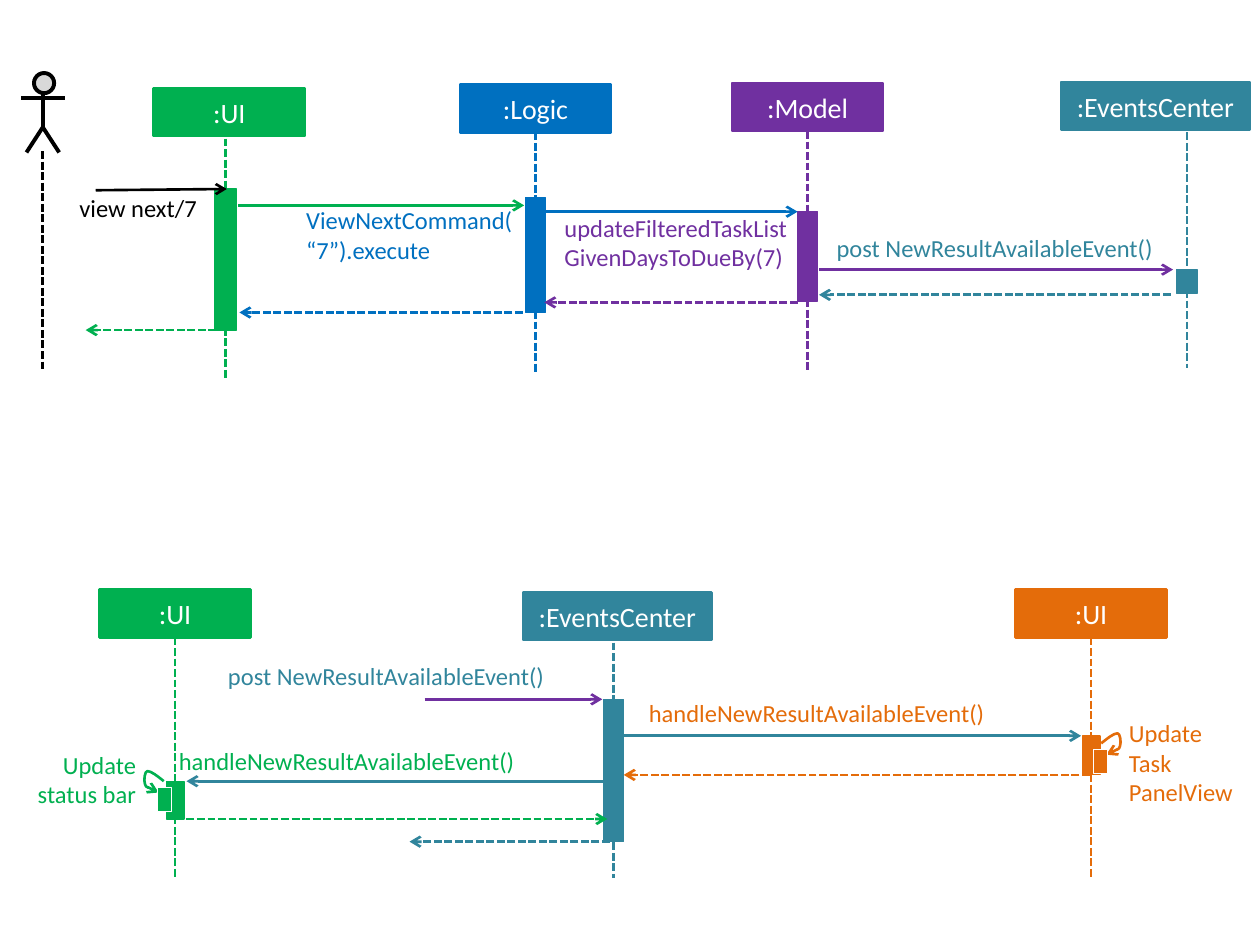
from lxml import etree
from pptx import Presentation
from pptx.dml.color import RGBColor
from pptx.enum.dml import MSO_LINE
from pptx.enum.shapes import MSO_CONNECTOR, MSO_SHAPE
from pptx.enum.text import MSO_ANCHOR, PP_ALIGN
from pptx.oxml.ns import qn
from pptx.util import Inches, Pt

GREEN = RGBColor(0x00, 0xB0, 0x50)
BLUE = RGBColor(0x00, 0x70, 0xC0)
PURPLE = RGBColor(0x70, 0x30, 0xA0)
TEAL = RGBColor(0x31, 0x85, 0x9C)
ORANGE = RGBColor(0xE4, 0x6C, 0x0A)
BLACK = RGBColor(0x00, 0x00, 0x00)
WHITE = RGBColor(0xFF, 0xFF, 0xFF)
GREY = RGBColor(0xD9, 0xD9, 0xD9)

RECT, CIRCLE = MSO_SHAPE.RECTANGLE, MSO_SHAPE.FLOWCHART_CONNECTOR
STRAIGHT, DASHED = MSO_CONNECTOR.STRAIGHT, MSO_LINE.SQUARE_DOT
LEFT, CENTER, RIGHT = PP_ALIGN.LEFT, PP_ALIGN.CENTER, PP_ALIGN.RIGHT
MIDDLE = MSO_ANCHOR.MIDDLE
FONT = "Calibri"
HEADER_H = 0.38


def set_font(p, size, color, align):
    """Format one paragraph."""
    p.alignment = align
    p.font.name, p.font.size, p.font.color.rgb = FONT, Pt(size), color


def add_box(shapes, box, fill, line, width, kind=RECT):
    """Add a filled shape without a shadow."""
    s = shapes.add_shape(kind, *map(Inches, box))
    s.shadow.inherit = False
    s.fill.solid()
    s.fill.fore_color.rgb = fill
    s.line.color.rgb, s.line.width = line, Pt(width)
    return s


def add_arrowhead(s, end):
    """Put an open arrowhead on headEnd or tailEnd of a line."""
    etree.SubElement(s.line._get_or_add_ln(), qn("a:" + end), type="arrow")


def add_line(shapes, start, end, color, dashed=False, arrow=False, width=1.5):
    """Add a straight line, with an arrowhead at its end if asked."""
    c = shapes.add_connector(STRAIGHT, *map(Inches, (*start, *end)))
    c.line.color.rgb, c.line.width = color, Pt(width)
    if dashed:
        c.line.dash_style = DASHED
    if arrow:
        add_arrowhead(c, "tailEnd")
    etree.SubElement(c._element.spPr, qn("a:effectLst"))
    return c


def add_label(shapes, box, lines, color, align=LEFT):
    """Add a message label with one paragraph per line."""
    tf = shapes.add_textbox(*map(Inches, box)).text_frame
    tf.word_wrap = True
    tf.margin_left = tf.margin_right = tf.margin_top = tf.margin_bottom = 0
    tf.text = "\n".join(lines)
    for p in tf.paragraphs:
        set_font(p, 14, color, align)


def add_actor(shapes, left, top, bottom):
    """Draw the stick figure and its lifeline."""
    x = left + 0.17
    group = shapes.add_group_shape().shapes
    add_line(group, (x, top + 0.16), (x, top + 0.44), BLACK, width=2.25)
    add_line(group, (left, top + 0.2), (left + 0.35, top + 0.2), BLACK, width=2.25)
    for foot in (-0.13, 0.13):
        add_line(group, (x, top + 0.43), (x + foot, top + 0.63), BLACK, width=2.25)
    add_box(group, (left + 0.1, top, 0.16, 0.16), GREY, BLACK, 2.25, CIRCLE)
    add_line(shapes, (x, top + 0.62), (x, bottom), BLACK, dashed=True)


def add_participant(shapes, label, color, header, life, bar):
    """Draw a header, its dashed lifeline and the activation bar."""
    left, top, width = header
    s = add_box(shapes, (left, top, width, HEADER_H), color, color, 1.5)
    tf = s.text_frame
    tf.vertical_anchor = MIDDLE
    tf.word_wrap = False
    tf.text = label
    set_font(tf.paragraphs[0], 16, WHITE, CENTER)
    x, bottom = life
    c = add_line(shapes, (x, top + HEADER_H + 0.02), (x, bottom), color, dashed=True)
    if abs(x - left - width / 2) < 0.01:
        c.begin_connect(s, 2)
    bar_top, bar_w, bar_h = bar
    add_box(shapes, (x - bar_w / 2, bar_top, bar_w, bar_h), color, color, 0.75)


def add_self_call(shapes, color, place):
    """Draw a looping arrow and its inner bar, with place mapping the points."""
    points = [(1.26, 6.29), (1.21, 6.27), (1.16, 6.25), (1.15, 6.22), (1.14, 6.19),
              (1.15, 6.12), (1.17, 6.12), (1.2, 6.12), (1.25, 6.16), (1.3, 6.2)]
    start, *rest = [tuple(map(Inches, place(x, y))) for x, y in points]
    builder = shapes.build_freeform(*start)
    builder.add_line_segments(rest, close=False)
    s = builder.convert_to_shape()
    s.shadow.inherit = False
    s.fill.background()
    s.line.color.rgb, s.line.width = color, Pt(1.5)
    add_arrowhead(s, "headEnd")
    segments = list(s._element.iter(qn("a:lnTo")))
    for i in range(0, len(segments), 3):
        curve = etree.SubElement(segments[i].getparent(), qn("a:cubicBezTo"))
        for segment in segments[i:i + 3]:
            curve.append(segment[0])
            segment.getparent().remove(segment)
    x, y = place(1.305, 6.25)
    add_box(shapes, (x - 0.055, y, 0.11, 0.19), color, WHITE, 0.75)


def add_messages(shapes, messages):
    """Draw horizontal arrows given as start x, end x, y, colour and dashing."""
    for x1, x2, y, color, dashed in messages:
        add_line(shapes, (x1, y), (x2, y), color, dashed, arrow=True)


def add_command_sequence(shapes):
    """Draw the upper diagram, from the user to the events center."""
    for participant in (
        (":UI", GREEN, (1.22, 0.7, 1.2), (1.79, 3), (1.5, 0.17, 1.12)),
        (":Logic", BLUE, (3.65, 0.67, 1.2), (4.25, 2.95), (1.57, 0.16, 0.91)),
        (":Model", PURPLE, (5.81, 0.66, 1.2), (6.41, 2.95), (1.68, 0.16, 0.71)),
        (":EventsCenter", TEAL, (8.42, 0.65, 1.5), (9.42, 2.92), (2.14, 0.16, 0.19)),
    ):
        add_participant(shapes, *participant)
    add_actor(shapes, 0.17, 0.58, 2.95)
    add_line(shapes, (0.76, 1.51), (1.8, 1.5), BLACK, arrow=True)
    add_messages(shapes, (
        (1.89, 4.16, 1.63, GREEN, False),
        (4.32, 6.33, 1.68, BLUE, False),
        (6.5, 9.31, 2.14, PURPLE, False),
        (9.29, 6.5, 2.34, TEAL, True),
        (6.33, 4.32, 2.4, PURPLE, True),
        (4.15, 1.9, 2.48, BLUE, True),
        (1.8, 0.68, 2.62, GREEN, True),
    ))
    add_label(shapes, (0.63, 1.53, 0.94, 0.24), ["view next/7"], BLACK)
    add_label(shapes, (2.43, 1.63, 1.66, 0.47), ["ViewNextCommand(“7”).execute"], BLUE)
    add_label(shapes, (4.48, 1.69, 1.78, 0.47),
              ["updateFilteredTaskListGivenDaysToDueBy(7)"], PURPLE)
    add_label(shapes, (6.64, 1.85, 3.27, 0.24), ["post NewResultAvailableEvent()"], TEAL)


def add_event_sequence(shapes):
    """Draw the lower diagram, from the events center to both UI parts."""
    for participant in (
        (":UI", GREEN, (0.79, 4.68, 1.2), (1.39, 6.96), (6.2, 0.14, 0.3)),
        (":EventsCenter", TEAL, (4.15, 4.7, 1.5), (4.87, 6.97), (5.55, 0.16, 1.13)),
        (":UI", ORANGE, (8.06, 4.68, 1.2), (8.66, 6.96), (5.84, 0.14, 0.31)),
    ):
        add_participant(shapes, *participant)
    add_messages(shapes, (
        (3.37, 4.78, 5.55, PURPLE, False),
        (4.95, 8.58, 5.84, TEAL, False),
        (8.65, 4.95, 6.15, ORANGE, True),
        (4.82, 1.48, 6.2, TEAL, False),
        (1.48, 4.82, 6.5, GREEN, True),
        (4.84, 3.25, 6.68, TEAL, True),
    ))
    add_self_call(shapes, GREEN, lambda x, y: (x, y))
    add_self_call(shapes, ORANGE, lambda x, y: (10.04 - x, y - 0.3))
    add_label(shapes, (1.81, 5.25, 3.14, 0.24), ["post NewResultAvailableEvent()"], TEAL)
    handler = ["handleNewResultAvailableEvent()"]
    add_label(shapes, (5.15, 5.54, 3.26, 0.24), handler, ORANGE)
    add_label(shapes, (1.42, 5.92, 3.27, 0.24), handler, GREEN)
    add_label(shapes, (0.21, 5.95, 0.87, 0.47), ["Update status bar"], GREEN, RIGHT)
    add_label(shapes, (8.96, 5.7, 0.96, 0.71), ["Update", "Task", "PanelView"], ORANGE)


def main():
    """Build the slide with both sequence diagrams."""
    prs = Presentation()
    prs.slide_width, prs.slide_height = Inches(10), Inches(7.5)
    shapes = prs.slides.add_slide(prs.slide_layouts[6]).shapes
    add_command_sequence(shapes)
    add_event_sequence(shapes)
    prs.save("out.pptx")


if __name__ == "__main__":
    main()
